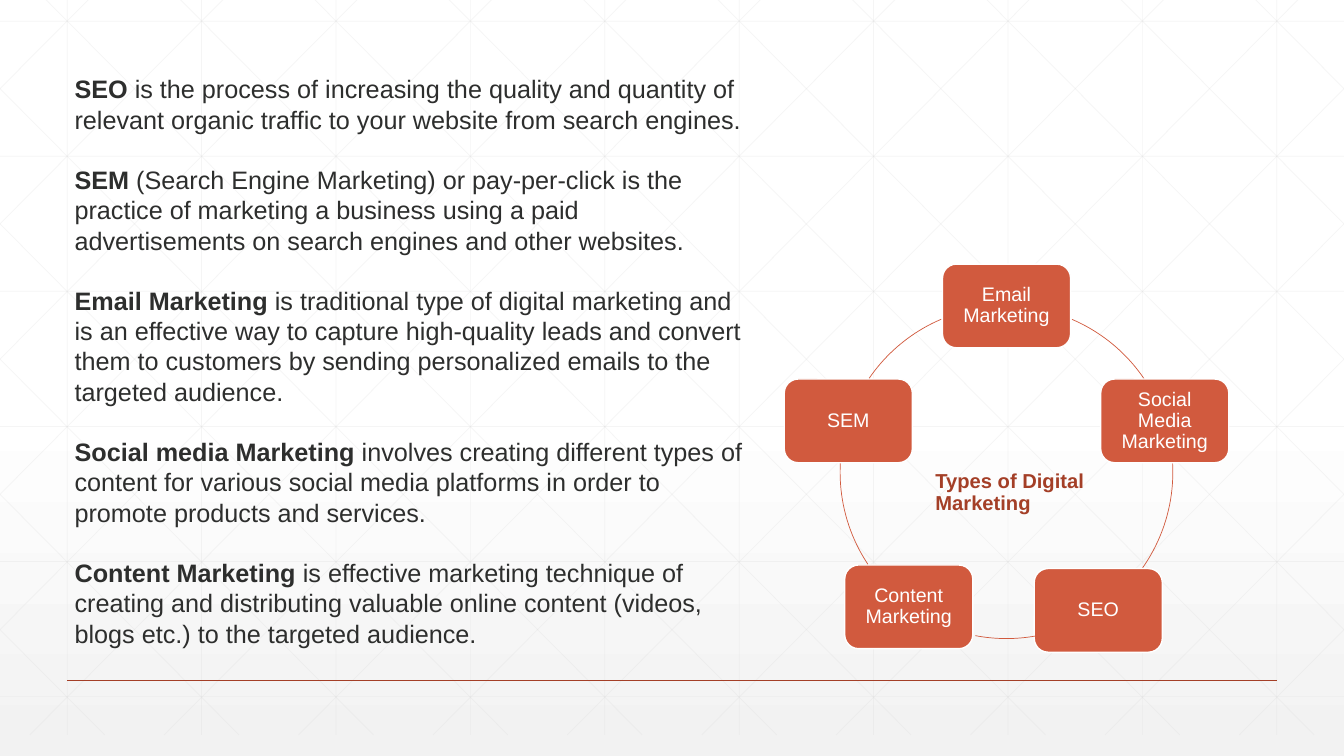
from copy import deepcopy
from dataclasses import dataclass
from math import cos, radians, sin

from lxml.etree import SubElement
from pptx import Presentation
from pptx.dml.color import RGBColor as Rgb
from pptx.enum.shapes import MSO_CONNECTOR as Link, MSO_SHAPE as Kind
from pptx.enum.text import MSO_ANCHOR as Anchor, MSO_AUTO_SIZE as Fit, PP_ALIGN as Align
from pptx.oxml.ns import qn
from pptx.util import Inches, Pt


@dataclass(frozen=True)
class Theme:
    """Colours, font and type sizes."""
    font: str = "Arial"
    ink: str = "2D2E2D"
    rust: str = "A43F27"
    coral: str = "D15A3E"
    white: str = "FFFFFF"
    fade: str = "F2F2F2"
    mesh: str = "D9D9D9"
    body: float = 18
    pitch: float = 21.6
    title: float = 14.4
    card: float = 14


@dataclass(frozen=True)
class Card:
    """One stop on the ring, with its shift from the even place."""
    label: str
    dx: float = 0
    dy: float = 0


@dataclass(frozen=True)
class Note:
    """A term and what it means."""
    term: str
    text: str


LOOK = Theme()
WIDE, HIGH = Inches(13.33), Inches(7.5)

# Places are percentages of the slide's width and height.
MID_X, MID_Y, RADIUS = 74.89, 62.47, 22
CARD_W, CARD_H = 9.53, 11.07
TOP, BASE = -2.8, 97.2
STEP_X, STEP_Y = 10, 17.87
SLANT_X, SLANT_W = 1.88, 55.9

CARDS = [
    Card("Email Marketing"),
    Card("Social Media Marketing"),
    Card("SEO", -0.45, 0.47),
    Card("Content Marketing"),
    Card("SEM"),
]
ARCS = [(293.2, 325.8), (357, 35.1), (79.9, 100.8), (146.4, 183.1), (214.4, 246.9)]
NOTES = [
    Note("SEO", " is the process of increasing the quality and quantity of relevant "
         "organic traffic to your website from search engines."),
    Note("SEM", " (Search Engine Marketing) or pay-per-click is the practice of marketing "
         "a business using a paid advertisements on search engines and other websites."),
    Note("Email Marketing", " is traditional type of digital marketing and is an effective "
         "way to capture high-quality leads and convert them to customers by sending "
         "personalized emails to the targeted audience."),
    Note("Social media Marketing", " involves creating different types of content for "
         "various social media platforms in order to promote products and services."),
    Note("Content Marketing", " is effective marketing technique of creating and "
         "distributing valuable online content (videos, blogs etc.) to the targeted "
         "audience."),
]


def across(share: float) -> int:
    """Turn a percentage of the width into a length."""
    return round(WIDE * share / 100)


def down(share: float) -> int:
    """Turn a percentage of the height into a length."""
    return round(HIGH * share / 100)


def place(shape, x: float, y: float, w: float, h: float) -> None:
    """Move and size a shape."""
    shape.left, shape.top = across(x), down(y)
    shape.width, shape.height = across(w), down(h)


def write(para, text: str, size: float, tint: str, bold: bool = False) -> None:
    """Add one run of text."""
    run = para.add_run()
    run.text = text
    font = run.font
    font.name, font.size, font.bold = LOOK.font, Pt(size), bold
    font.color.rgb = Rgb.from_string(tint)


def paint(slide) -> None:
    """Fill the background with a fade that starts past the middle."""
    fill = slide.background.fill
    fill.gradient()
    fill.gradient_angle = 270
    stops = slide._element.find(".//" + qn("a:gsLst"))
    stops.append(deepcopy(stops[-1]))
    marks = [(0, LOOK.white), (0.53, LOOK.white), (1, LOOK.fade)]
    for stop, (spot, tint) in zip(fill.gradient_stops, marks):
        stop.position = spot
        stop.color.rgb = Rgb.from_string(tint)


def rule(shapes, start: tuple, end: tuple, tint: str, size: float, alpha: int = 100) -> None:
    """Draw a straight line between two places."""
    line = shapes.add_connector(Link.STRAIGHT, across(start[0]), down(start[1]),
                                across(end[0]), down(end[1]))
    line.line.width = Pt(size)
    line.line.color.rgb = Rgb.from_string(tint)
    props = line._element.spPr
    if alpha < 100:
        SubElement(props.find(".//" + qn("a:srgbClr")), qn("a:alpha"), val=str(alpha * 1000))
    SubElement(props, qn("a:effectLst"))


def slant(x: float) -> tuple:
    """Give the ends of a falling diagonal, cut at the slide's sides."""
    def point(at: float) -> tuple:
        return at, TOP + (at - x) / SLANT_W * (BASE - TOP)
    return point(max(x, 0)), point(min(x + SLANT_W, 100))


def weave(slide) -> None:
    """Draw the faint mesh of upright, level and slanting lines."""
    lines = [((5 + STEP_X * i, TOP), (5 + STEP_X * i, BASE)) for i in range(10)]
    lines += [((0, 2.8 + STEP_Y * i), (100, 2.8 + STEP_Y * i)) for i in range(6)]
    falls = [slant(SLANT_X + STEP_X * i) for i in range(-5, 10)]
    lines += falls
    lines += [tuple((100 - x, y) for x, y in ends) for ends in falls]
    mesh = slide.shapes.add_group_shape().shapes
    for start, end in lines:
        rule(mesh, start, end, LOOK.mesh, 0.5, 25)


def head(shape) -> None:
    """Set the title in the middle of the ring."""
    place(shape, 68.85, 61.73, 15.53, 7.07)
    frame = shape.text_frame
    frame.auto_size, frame.vertical_anchor = Fit.NONE, Anchor.BOTTOM
    para = frame.paragraphs[0]
    para.alignment, para.line_spacing = Align.LEFT, 0.9
    write(para, "Types of Digital Marketing", LOOK.title, LOOK.rust, True)


def prose(shape) -> None:
    """Set the notes as plain paragraphs, one line apart."""
    place(shape, 4.8, 9.07, 51.9, 78.13)
    frame = shape.text_frame
    frame.auto_size, frame.vertical_anchor = Fit.NONE, Anchor.TOP
    for i, note in enumerate(NOTES):
        para = frame.add_paragraph() if i else frame.paragraphs[0]
        para.alignment, para.line_spacing = Align.LEFT, Pt(LOOK.pitch)
        para.space_before = Pt(LOOK.pitch if i else 0)
        para.space_after = Pt(0)
        props = para._p.get_or_add_pPr()
        props.set("marL", "0")
        props.set("indent", "0")
        SubElement(props, qn("a:buNone"))
        write(para, note.term, LOOK.body, LOOK.ink, True)
        write(para, note.text, LOOK.body, LOOK.ink)


def stop(slide, card: Card, turn: float) -> None:
    """Draw a card at its angle on the ring."""
    x = MID_X + RADIUS * HIGH / WIDE * sin(radians(turn)) + card.dx
    y = MID_Y - RADIUS * cos(radians(turn)) + card.dy
    box = slide.shapes.add_shape(Kind.ROUNDED_RECTANGLE, 0, 0, 0, 0)
    place(box, x - CARD_W / 2, y - CARD_H / 2, CARD_W, CARD_H)
    box.shadow.inherit = False
    box.fill.solid()
    box.fill.fore_color.rgb = Rgb.from_string(LOOK.coral)
    box.line.color.rgb = Rgb.from_string(LOOK.white)
    box.line.width = Pt(1)
    frame = box.text_frame
    frame.word_wrap, frame.vertical_anchor = True, Anchor.MIDDLE
    frame.margin_left = frame.margin_right = Inches(0.06)
    frame.margin_top = frame.margin_bottom = Inches(0.06)
    para = frame.paragraphs[0]
    para.alignment, para.line_spacing = Align.CENTER, 0.9
    write(para, card.label, LOOK.card, LOOK.white)


def bend(slide, start: float, end: float) -> None:
    """Draw the part of the ring between two cards, in degrees."""
    size = 2 * down(RADIUS)
    arc = slide.shapes.add_shape(Kind.ARC, across(MID_X) - size // 2,
                                 down(MID_Y) - size // 2, size, size)
    arc.adjustments[0], arc.adjustments[1] = start * 0.6, end * 0.6
    arc.shadow.inherit = False
    arc.fill.background()
    arc.line.color.rgb = Rgb.from_string(LOOK.coral)
    arc.line.width = Pt(0.5)


deck = Presentation()
deck.slide_width, deck.slide_height = WIDE, HIGH
slide = deck.slides.add_slide(deck.slide_layouts[1])
title, body = slide.placeholders
paint(slide)
weave(slide)
rule(slide.shapes, (5, 90), (95, 90), LOOK.rust, 1)
slide.shapes._spTree.append(title._element)
head(title)
for i, (card, ends) in enumerate(zip(CARDS, ARCS)):
    stop(slide, card, 360 / len(CARDS) * i)
    bend(slide, *ends)
slide.shapes._spTree.append(body._element)
prose(body)
deck.save("out.pptx")
